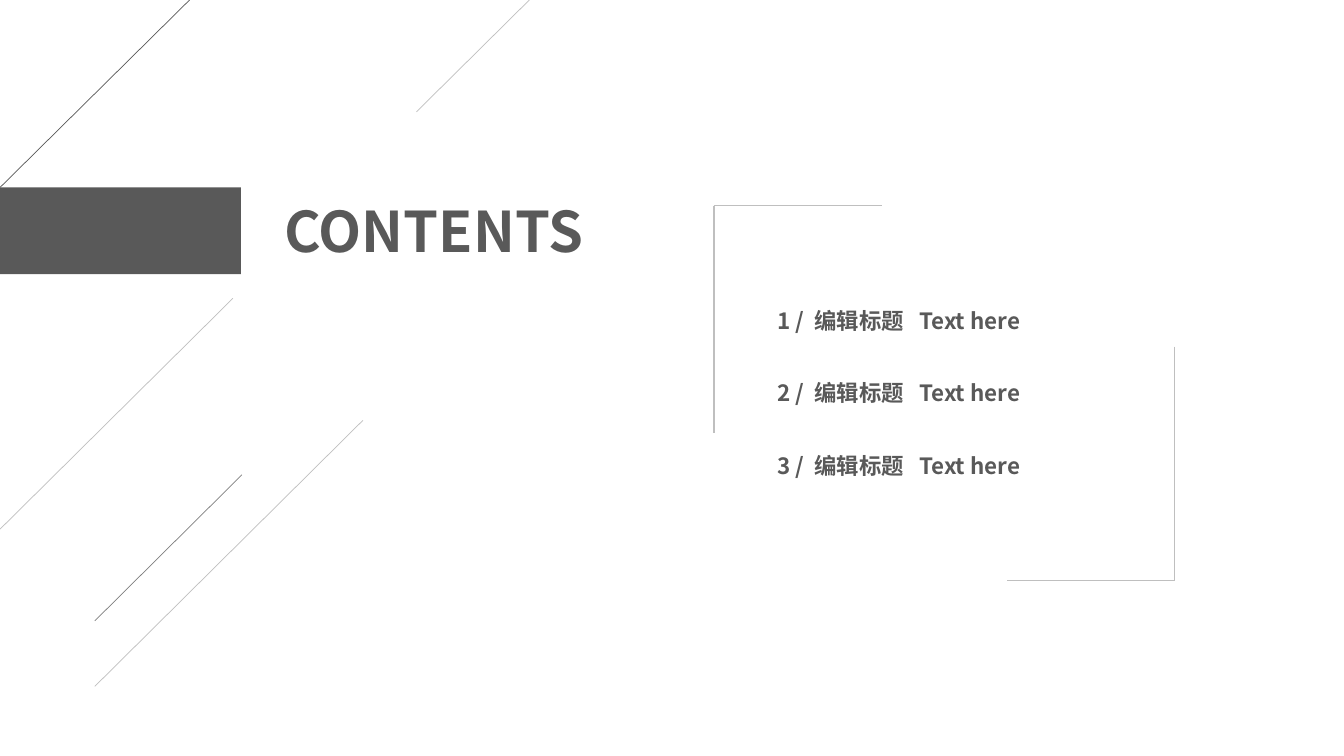
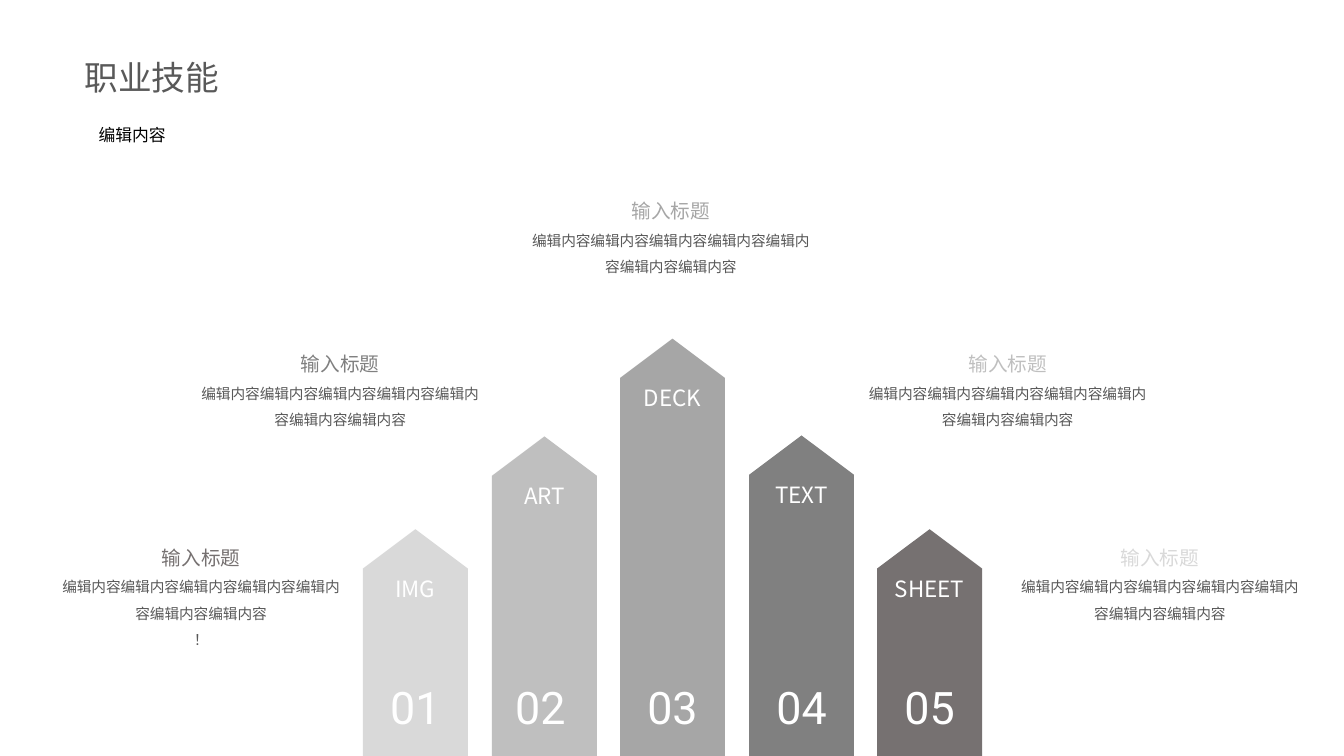
"""Build a contents slide and a job skills slide in one grey theme."""
from dataclasses import dataclass

from lxml.etree import SubElement
from pptx import Presentation
from pptx.dml.color import RGBColor as Rgb
from pptx.enum.shapes import MSO_CONNECTOR as Link, MSO_SHAPE as Form
from pptx.enum.text import MSO_ANCHOR as Anchor, MSO_AUTO_SIZE as Fit, PP_ALIGN as Align
from pptx.oxml.ns import qn
from pptx.util import Pt

PX = 9144
WIDE, HIGH = 1333, 750


@dataclass(frozen=True)
class Theme:
    font: str = "Noto Sans CJK SC"
    digit: str = "Roboto"
    dark: str = "595959"
    stone: str = "767171"
    mid: str = "808080"
    soft: str = "A6A6A6"
    light: str = "BFBFBF"
    pale: str = "D9D9D9"
    white: str = "FFFFFF"
    black: str = "000000"
    hero: int = 40
    count: int = 32
    title: int = 24
    item: int = 16
    head: int = 14
    note: int = 12
    body: float = 10.5
    loose: float = 1.5


T = Theme()


@dataclass(frozen=True)
class Stroke:
    x1: int
    y1: int
    x2: int
    y2: int
    color: str = T.light
    width: float = 0.5


@dataclass(frozen=True)
class Tower:
    label: str
    top: int
    color: str
    shift: int = 0


@dataclass(frozen=True)
class Block:
    x: int
    y: int
    color: str
    tail: str = ""


STROKES = (
    Stroke(188, 0, 0, 186, T.dark),
    Stroke(525, 0, 413, 111),
    Stroke(231, 296, 0, 525),
    Stroke(360, 417, 94, 681),
    Stroke(240, 471, 94, 616, T.mid),
    Stroke(708, 204, 875, 204, width=1),
    Stroke(708, 204, 708, 430, width=1),
    Stroke(999, 576, 1165, 576, width=1),
    Stroke(1165, 344, 1165, 576, width=1),
)
TOWERS = (
    Tower("IMG", 525, T.pale),
    Tower("ART", 433, T.light, -4),
    Tower("DECK", 336, T.soft),
    Tower("TEXT", 432, T.mid),
    Tower("SHEET", 525, T.stone),
)
BLOCKS = (
    Block(513, 181, T.soft),
    Block(185, 333, T.mid),
    Block(47, 525, T.stone, "！"),
    Block(847, 333, T.light),
    Block(998, 525, T.pale),
)


def write(frame, text: str, *, size: float, color: str = T.dark, font: str = T.font,
          bold: bool = False, align=Align.LEFT, space: float = 1.0,
          tabs: tuple[int, ...] = ()) -> None:
    para = frame.add_paragraph() if frame.text else frame.paragraphs[0]
    para.alignment = align
    para.line_spacing = space
    if tabs:
        stops = SubElement(para._p.get_or_add_pPr(), qn("a:tabLst"))
        for stop in tabs:
            SubElement(stops, qn("a:tab"), pos=str(stop * PX), algn="l")
    run = para.add_run()
    run.text = text
    run.font.size = Pt(size)
    run.font.bold = bold
    run.font.name = font
    run.font.color.rgb = Rgb.from_string(color)
    SubElement(run._r.get_or_add_rPr(), qn("a:ea"), typeface=font)


def set_frame(shape, anchor):
    frame = shape.text_frame
    frame.word_wrap = True
    frame.auto_size = Fit.NONE
    frame.vertical_anchor = anchor
    frame.margin_left = frame.margin_right = 10 * PX
    frame.margin_top = frame.margin_bottom = 5 * PX
    return frame


def add_box(slide, x: int, y: int, w: int, h: int, anchor=Anchor.MIDDLE):
    return set_frame(slide.shapes.add_textbox(x * PX, y * PX, w * PX, h * PX), anchor)


def add_slide(deck, text: str, x: int, y: int, w: int, h: int, **look):
    slide = deck.slides.add_slide(deck.slide_layouts[5])
    name = slide.shapes.title
    name.left, name.top, name.width, name.height = x * PX, y * PX, w * PX, h * PX
    write(set_frame(name, Anchor.MIDDLE), text, **look)
    return slide


def paint(shape, color: str) -> None:
    shape.shadow.inherit = False
    shape.fill.solid()
    shape.fill.fore_color.rgb = Rgb.from_string(color)
    shape.line.fill.background()


def add_line(slide, s: Stroke) -> None:
    line = slide.shapes.add_connector(
        Link.STRAIGHT, s.x1 * PX, s.y1 * PX, s.x2 * PX, s.y2 * PX)
    line.line.color.rgb = Rgb.from_string(s.color)
    line.line.width = Pt(s.width)
    SubElement(line._element.spPr, qn("a:effectLst"))


def add_tower(slide, rank: int, t: Tower) -> None:
    x, w, roof = 360 + (rank * 255 + 1) // 2, 104, 39
    pen = slide.shapes.build_freeform(x + w // 2, t.top, scale=PX)
    pen.add_line_segments([(x + w, t.top + roof), (x + w, HIGH),
                           (x, HIGH), (x, t.top + roof)], close=True)
    paint(pen.convert_to_shape(), t.color)
    look = dict(color=T.white, align=Align.CENTER)
    write(add_box(slide, x + 10 + t.shift, 669, 84, 64), f"{rank + 1:02}",
          size=T.count, font=T.digit, **look)
    write(add_box(slide, x, t.top + 40, w, 37), t.label, size=T.item, **look)


def add_block(slide, b: Block) -> None:
    frame = add_box(slide, b.x, b.y, 305, 125 if b.tail else 98, Anchor.TOP)
    look = dict(align=Align.CENTER, space=T.loose)
    write(frame, "输入标题", size=T.head, color=b.color, **look)
    write(frame, "编辑内容" * 7, size=T.body, **look)
    if b.tail:
        write(frame, b.tail, size=T.body, **look)


def add_contents(deck) -> None:
    slide = add_slide(deck, "CONTENTS", 272, 190, 340, 77, size=T.hero, bold=True)
    paint(slide.shapes.add_shape(Form.RECTANGLE, 0, 186 * PX, 239 * PX, 86 * PX), T.dark)
    for stroke in STROKES:
        add_line(slide, stroke)
    for rank in range(3):
        write(add_box(slide, 761, 300 + rank * 143 // 2, 351, 37),
              f"{rank + 1} /\t编辑标题\tText here",
              size=T.item, bold=True, tabs=(37, 141))


def add_skills(deck) -> None:
    slide = add_slide(deck, "职业技能", 74, 51, 288, 50, size=T.title)
    for rank, tower in enumerate(TOWERS):
        add_tower(slide, rank, tower)
    for block in BLOCKS:
        add_block(slide, block)
    write(add_box(slide, 88, 109, 533, 40, Anchor.TOP), "编辑内容",
          size=T.note, color=T.black, space=T.loose)


def main() -> None:
    deck = Presentation()
    deck.slide_width, deck.slide_height = WIDE * PX, HIGH * PX
    add_contents(deck)
    add_skills(deck)
    deck.save("out.pptx")


if __name__ == "__main__":
    main()
